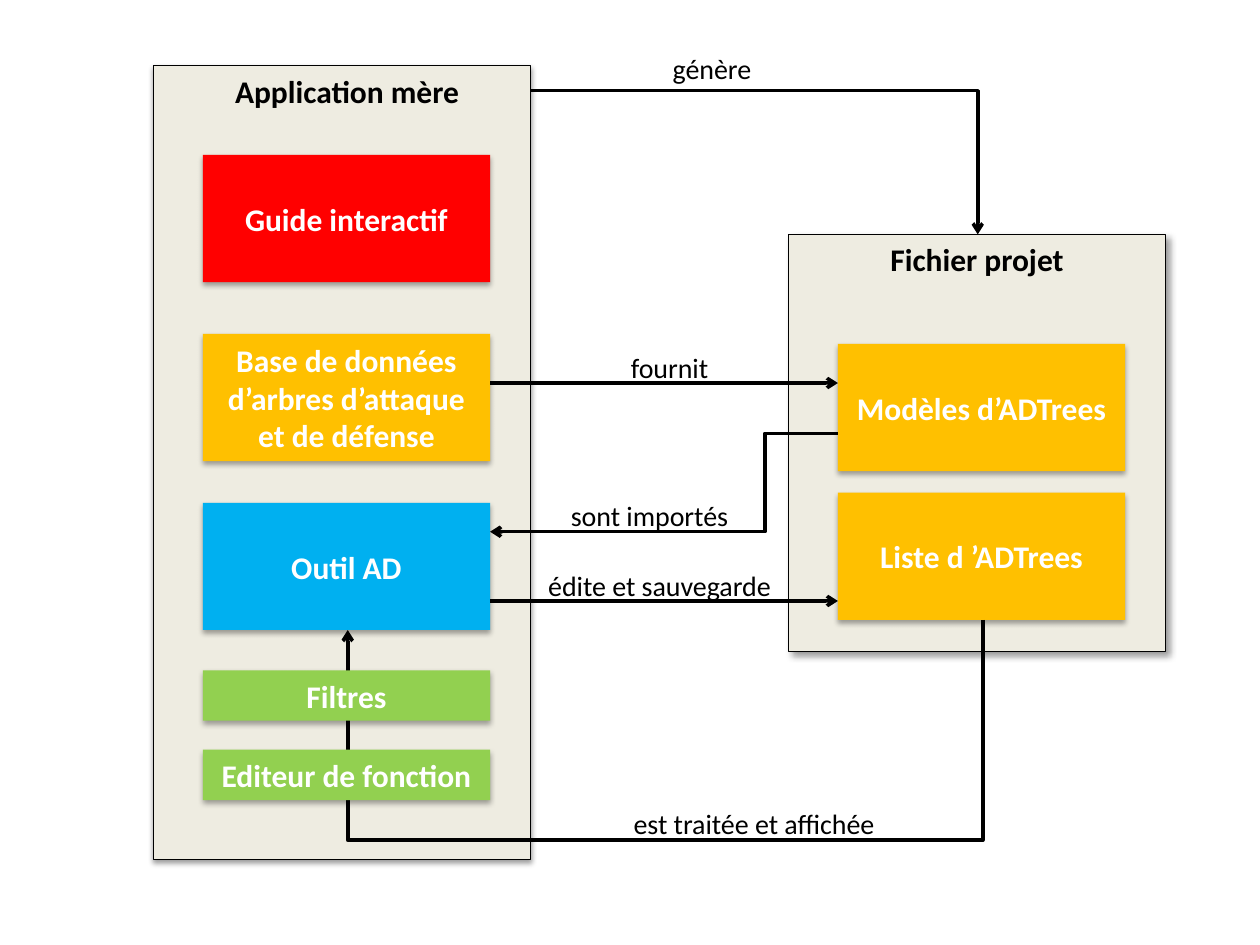
from pptx import Presentation
from pptx.dml.color import RGBColor
from pptx.enum.shapes import MSO_CONNECTOR, MSO_SHAPE
from pptx.enum.text import MSO_ANCHOR, PP_ALIGN
from pptx.oxml.ns import qn
from pptx.util import Inches, Pt
from lxml import etree

RECTANGLE = MSO_SHAPE.RECTANGLE
STRAIGHT, ELBOW = MSO_CONNECTOR.STRAIGHT, MSO_CONNECTOR.ELBOW
LEFT, CENTER = PP_ALIGN.LEFT, PP_ALIGN.CENTER
TOP, MIDDLE = MSO_ANCHOR.TOP, MSO_ANCHOR.MIDDLE

COLORS = {
    "black": "000000", "white": "FFFFFF", "panel": "EEECE1", "guide": "FF0000",
    "data": "FFC000", "tool": "00B0F0", "filter": "92D050",
}
FONT = "Calibri"
# Shadows: opacity in %, blur and distance in points, direction in degrees
BOX_SHADOW = (35, 3.1, 1.8, 90)
APP_SHADOW = (38, 3.1, 1.6, 90)
PROJECT_SHADOW = (40, 4, 3, 45)

# Columns and sizes in inches
APP_X, PROJECT_X, BOX_WIDTH = 1.61, 6.65, 2.28
APP_EDGE = APP_X + BOX_WIDTH
TALL, FLAT = 1.01, 0.4


def rgb(name):
    return RGBColor.from_string(COLORS[name])


def write_text(shape, text, size=18, color="white", bold=True, align=CENTER, anchor=MIDDLE):
    frame = shape.text_frame
    frame.word_wrap = True
    frame.vertical_anchor = anchor
    para = frame.paragraphs[0]
    para.alignment = align
    span = para.add_run()
    span.text = text
    span.font.name = FONT
    span.font.size = Pt(size)
    span.font.bold = bold
    span.font.color.rgb = rgb(color)


class Diagram:
    """Draws the elements of the diagram on the current slide."""

    def __init__(self, slide):
        self.shapes = slide.shapes

    def rectangle(self, x, y, width, height, fill, shadow, outlined=False):
        box = self.shapes.add_shape(
            RECTANGLE, Inches(x), Inches(y), Inches(width), Inches(height))
        box.fill.solid()
        box.fill.fore_color.rgb = rgb(fill)
        if outlined:
            box.line.color.rgb = rgb("black")
            box.line.width = Pt(0.75)
        else:
            box.line.fill.background()
        self.add_shadow(box, *shadow)
        return box

    def add_shadow(self, box, opacity, blur, distance, direction):
        box.shadow.inherit = False
        effects = box._element.spPr.find(qn("a:effectLst"))
        outer = etree.SubElement(
            effects, qn("a:outerShdw"), blurRad=str(Pt(blur)), dist=str(Pt(distance)),
            dir=str(direction * 60000), algn="ctr", rotWithShape="0")
        tint = etree.SubElement(outer, qn("a:srgbClr"), val=COLORS["black"])
        etree.SubElement(tint, qn("a:alpha"), val=str(opacity * 1000))

    def panel(self, x, y, width, height, shadow):
        self.rectangle(x, y, width, height, "panel", shadow, outlined=True)

    def block(self, x, y, height, fill, text):
        box = self.rectangle(x, y, BOX_WIDTH, height, fill, BOX_SHADOW)
        write_text(box, text)

    def label(self, x, y, width, text, height=0.37, size=16, bold=False, align=CENTER):
        box = self.shapes.add_textbox(Inches(x), Inches(y), Inches(width), Inches(height))
        write_text(box, text, size=size, color="black", bold=bold, align=align, anchor=TOP)

    def heading(self, x, y, width, text):
        self.label(x, y, width, text, height=0.4, size=18, bold=True)

    def arrow(self, start, end, kind=STRAIGHT, preset=None, bend=None, rotation=0):
        """Bend is the place of the elbow, as a share of the connector's width."""
        connector = self.shapes.add_connector(
            kind, *(Inches(length) for length in (*start, *end)))
        connector.line.color.rgb = rgb("black")
        connector.line.width = Pt(2)
        properties = connector._element.spPr
        etree.SubElement(properties.find(qn("a:ln")), qn("a:tailEnd"), type="arrow")
        etree.SubElement(properties, qn("a:effectLst"))
        geometry = properties.find(qn("a:prstGeom"))
        if preset:
            geometry.set("prst", preset)
        if bend is not None:
            guides = geometry.find(qn("a:avLst"))
            etree.SubElement(guides, qn("a:gd"), name="adj1", fmla=f"val {round(bend * 100000)}")
        if rotation:
            properties.find(qn("a:xfrm")).set("rot", str(rotation * 60000))


def main():
    deck = Presentation()
    deck.slide_width, deck.slide_height = Inches(10), Inches(7.5)
    diagram = Diagram(deck.slides.add_slide(deck.slide_layouts[6]))

    # Panels and their headings
    diagram.panel(1.22, 0.52, 2.99, 6.3, APP_SHADOW)
    diagram.heading(1.3, 0.52, 2.91, "Application mère")
    diagram.panel(6.26, 1.86, 2.99, 3.31, PROJECT_SHADOW)
    diagram.heading(6.34, 1.86, 2.83, "Fichier projet")

    # Main blocks
    for x, y, fill, text in (
        (APP_X, 1.23, "guide", "Guide interactif"),
        (APP_X, 2.65, "data", "Base de données d’arbres d’attaque et de défense"),
        (APP_X, 3.99, "tool", "Outil AD"),
        (PROJECT_X, 2.73, "data", "Modèles d’ADTrees"),
        (PROJECT_X, 3.91, "data", "Liste d ’ADTrees"),
    ):
        diagram.block(x, y, TALL, fill, text)

    # Arrows between the panels
    for y in (3.04, 4.77):
        diagram.arrow((APP_EDGE, y), (PROJECT_X, y))
    diagram.arrow((4.21, 0.72), (7.76, 1.86), ELBOW, preset="bentConnector2")
    diagram.arrow((PROJECT_X, 3.44), (APP_EDGE, 4.22), ELBOW, bend=0.21)

    # Return arrow, a quarter turn: down from the list, then up to the tool
    diagram.arrow((5.24, 2.44), (5.32, 7.48), ELBOW, bend=1.75 / 0.08, rotation=90)

    # Filter blocks lie over the return arrow
    for y, text in ((5.32, "Filtres"), (5.95, "Editeur de fonction")):
        diagram.block(APP_X, y, FLAT, "filter", text)

    # Arrow labels
    diagram.label(5.24, 0.36, 2.28, "génère", align=LEFT)
    for x, y, width, text in (
        (4.53, 2.73, 1.57, "fournit"),
        (4.29, 3.91, 1.73, "sont importés"),
        (4.21, 4.46, 2.05, "édite et sauvegarde"),
        (4.29, 6.35, 3.39, "est traitée et affichée"),
    ):
        diagram.label(x, y, width, text)

    deck.save("out.pptx")


if __name__ == "__main__":
    main()
